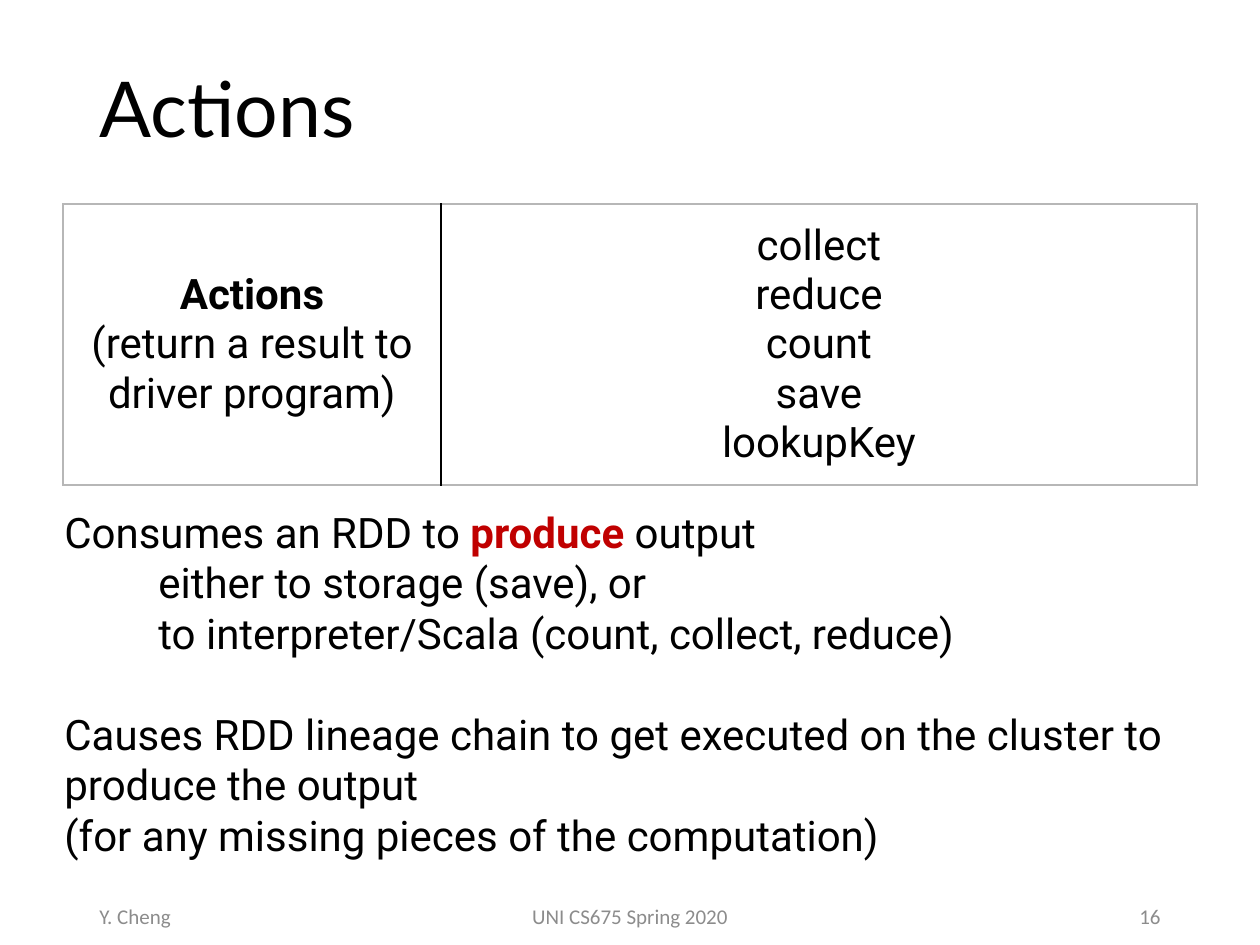
from pptx import Presentation
from pptx.dml.color import RGBColor
from pptx.enum import shapes, text
from pptx.oxml import parse_xml
from pptx.oxml.ns import nsdecls
from pptx.util import Pt

PIXEL = 914400 // 126
LEFT, CENTER, RIGHT = text.PP_ALIGN.LEFT, text.PP_ALIGN.CENTER, text.PP_ALIGN.RIGHT


def color(value):
    return RGBColor.from_string(value)


def write(frame, content, size=24, font="Roboto", ink="000000", align=LEFT,
          bold=False, spacing=1.0, indent=0, before=0, new=False):
    frame.word_wrap = True
    frame.vertical_anchor = text.MSO_ANCHOR.MIDDLE
    paragraph = frame.add_paragraph() if new else frame.paragraphs[0]
    paragraph.alignment = align
    paragraph.line_spacing = spacing
    paragraph.space_before = Pt(before)
    if indent:
        paragraph._p.get_or_add_pPr().set("marL", str(indent * PIXEL))
    runs = [(content, ink, bold)] if isinstance(content, str) else content
    for words, run_ink, run_bold in runs:
        run = paragraph.add_run()
        run.text = words
        run.font.size = Pt(size)
        run.font.name = font
        run.font.bold = run_bold
        run.font.color.rgb = color(run_ink)


presentation = Presentation()
presentation.slide_width = 1260 * PIXEL
presentation.slide_height = 945 * PIXEL
slide = presentation.slides.add_slide(presentation.slide_layouts[6])

footer = dict(size=12, font="Calibri", ink="8C8C8C")
labels = [
    ("Actions", (87, 21, 1086, 183), dict(size=44, font="Lato", spacing=0.9)),
    ("Y. Cheng", (87, 891, 284, 50), footer),
    ("UNI CS675 Spring 2020", (417, 891, 426, 50), dict(footer, align=CENTER)),
    ("16", (890, 891, 283, 50), dict(footer, align=RIGHT)),
]
for words, box, style in labels:
    label = slide.shapes.add_textbox(*[side * PIXEL for side in box])
    write(label.text_frame, words, **style)

table_shape = slide.shapes.add_table(
    1, 2, 63 * PIXEL, 204 * PIXEL, 1134 * PIXEL, 281 * PIXEL)
table = table_shape.table
table.first_row = table.horz_banding = False
columns = [
    (378, ["Actions", "(return a result to driver program)"], "lnR"),
    (756, ["collect", "reduce", "count", "save", "lookupKey"], "lnL"),
]
for index, (width, lines, divider) in enumerate(columns):
    table.columns[index].width = width * PIXEL
    cell = table.cell(0, index)
    cell.vertical_anchor = text.MSO_ANCHOR.MIDDLE
    for row, words in enumerate(lines):
        write(cell.text_frame, words, align=CENTER, bold=words == "Actions", new=row > 0)
    properties = cell._tc.get_or_add_tcPr()
    for edge in ("lnL", "lnR", "lnT", "lnB"):
        ink = "000000" if edge == divider else "B7B7B7"
        properties.append(parse_xml(
            f'<a:{edge} {nsdecls("a")} w="12700"><a:solidFill>'
            f'<a:srgbClr val="{ink}"/></a:solidFill></a:{edge}>'))
    cell.fill.solid()
    cell.fill.fore_color.rgb = color("FFFFFF")

explanation = slide.shapes.add_shape(
    shapes.MSO_SHAPE.RECTANGLE, 52 * PIXEL, 499 * PIXEL, 1168 * PIXEL, 368 * PIXEL)
explanation.shadow.inherit = False
explanation.fill.solid()
explanation.fill.fore_color.rgb = color("FFFFFF")
explanation.line.color.rgb = color("FFFFFF")
explanation.line.width = Pt(1)
statements = [
    ([("Consumes an RDD to ", "000000", False), ("produce", "C00000", True),
      (" output", "000000", False)], {}),
    ("either to storage (save), or", dict(indent=94)),
    ("to interpreter/Scala (count, collect, reduce)", dict(indent=94)),
    ("Causes RDD lineage chain to get executed on the cluster to produce the output",
     dict(before=29)),
    ("(for any missing pieces of the computation)", {}),
]
for row, (words, style) in enumerate(statements):
    write(explanation.text_frame, words, new=row > 0, **style)

presentation.save("out.pptx")
